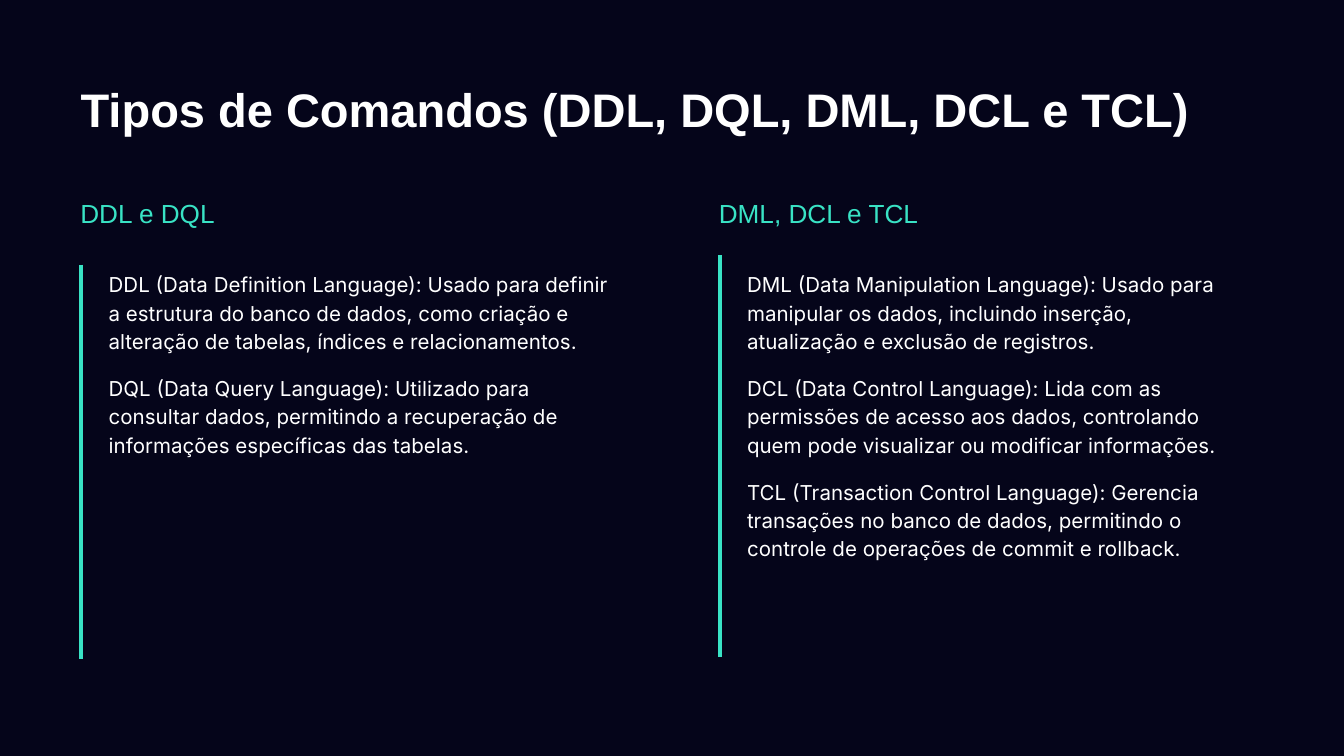
from lxml import etree
from pptx import Presentation
from pptx.dml.color import RGBColor
from pptx.enum.shapes import MSO_CONNECTOR
from pptx.enum.text import MSO_ANCHOR, MSO_AUTO_SIZE, PP_ALIGN
from pptx.oxml.ns import qn
from pptx.util import Pt

STRAIGHT = MSO_CONNECTOR.STRAIGHT
TOP, MIDDLE = MSO_ANCHOR.TOP, MSO_ANCHOR.MIDDLE
NO_FIT = MSO_AUTO_SIZE.NONE
LEFT = PP_ALIGN.LEFT

NAVY, WHITE, TEAL = "05051A", "FFFFFF", "39E3C5"
INSET = 7.2
HEADING_H = 45.4
BODY_INDENT = 15.1

COLUMNS = [
    ("DDL e DQL", 36, (7.2, 141.8, 352.8), [
        "DDL (Data Definition Language): Usado para definir a estrutura do banco de dados, "
        "como criação e alteração de tabelas, índices e relacionamentos.",
        "DQL (Data Query Language): Utilizado para consultar dados, permitindo a "
        "recuperação de informações específicas das tabelas.",
    ]),
    ("DML, DCL e TCL", 378, (7.9, 136.8, 352.1), [
        "DML (Data Manipulation Language): Usado para manipular os dados, incluindo "
        "inserção, atualização e exclusão de registros.",
        "DCL (Data Control Language): Lida com as permissões de acesso aos dados, "
        "controlando quem pode visualizar ou modificar informações.",
        "TCL (Transaction Control Language): Gerencia transações no banco de dados, "
        "permitindo o controle de operações de commit e rollback.",
    ]),
]


def color(value):
    return RGBColor.from_string(value)


def write(sp, texts, font, size, fill, anchor=MIDDLE, bold=False, spacing=1.0):
    tf = sp.text_frame
    tf.word_wrap = True
    tf.auto_size = NO_FIT
    tf.vertical_anchor = anchor
    tf.margin_left = tf.margin_right = tf.margin_top = tf.margin_bottom = Pt(INSET)
    for i, text in enumerate(texts):
        p = tf.add_paragraph() if i else tf.paragraphs[0]
        p.alignment = LEFT
        p.line_spacing = spacing
        p.space_before = Pt(10 if i else 0)
        r = p.add_run()
        r.text = text
        r.font.name = font
        r.font.size = Pt(size)
        r.font.bold = bold
        r.font.color.rgb = color(fill)


def add_title(s, text, x, y, w, h):
    sp = s.shapes.title
    sp.left, sp.top, sp.width, sp.height = Pt(x), Pt(y), Pt(w), Pt(h)
    write(sp, [text], "Arial", 25.2, WHITE, bold=True)


def add_rule(s, x, top, bottom):
    sp = s.shapes.add_connector(STRAIGHT, Pt(x), Pt(top), Pt(x), Pt(bottom))
    sp.line.color.rgb = color(TEAL)
    sp.line.width = Pt(2.25)
    etree.SubElement(sp.element.spPr, qn("a:effectLst"))


def add_column(s, heading, texts, rule, x, y, w, h):
    sp = s.shapes.add_textbox(Pt(x), Pt(y), Pt(w), Pt(HEADING_H))
    write(sp, [heading], "Arial", 14, TEAL)
    sp = s.shapes.add_textbox(Pt(x + BODY_INDENT), Pt(y + HEADING_H),
                              Pt(w - BODY_INDENT), Pt(h - HEADING_H))
    write(sp, texts, "Inter", 11, WHITE, anchor=TOP, spacing=1.15)
    offset, top, bottom = rule
    add_rule(s, x + offset, top, bottom)


def main():
    prs = Presentation()
    prs.slide_width, prs.slide_height = Pt(720), Pt(405)
    s = prs.slides.add_slide(prs.slide_layouts[5])
    s.background.fill.solid()
    s.background.fill.fore_color.rgb = color(NAVY)
    add_title(s, "Tipos de Comandos (DDL, DQL, DML, DCL e TCL)", 36, 35.3, 648, 45.4)
    for heading, x, rule, texts in COLUMNS:
        add_column(s, heading, texts, rule, x, 91.4, 297.4, 260.7)
    prs.save("out.pptx")


if __name__ == "__main__":
    main()
